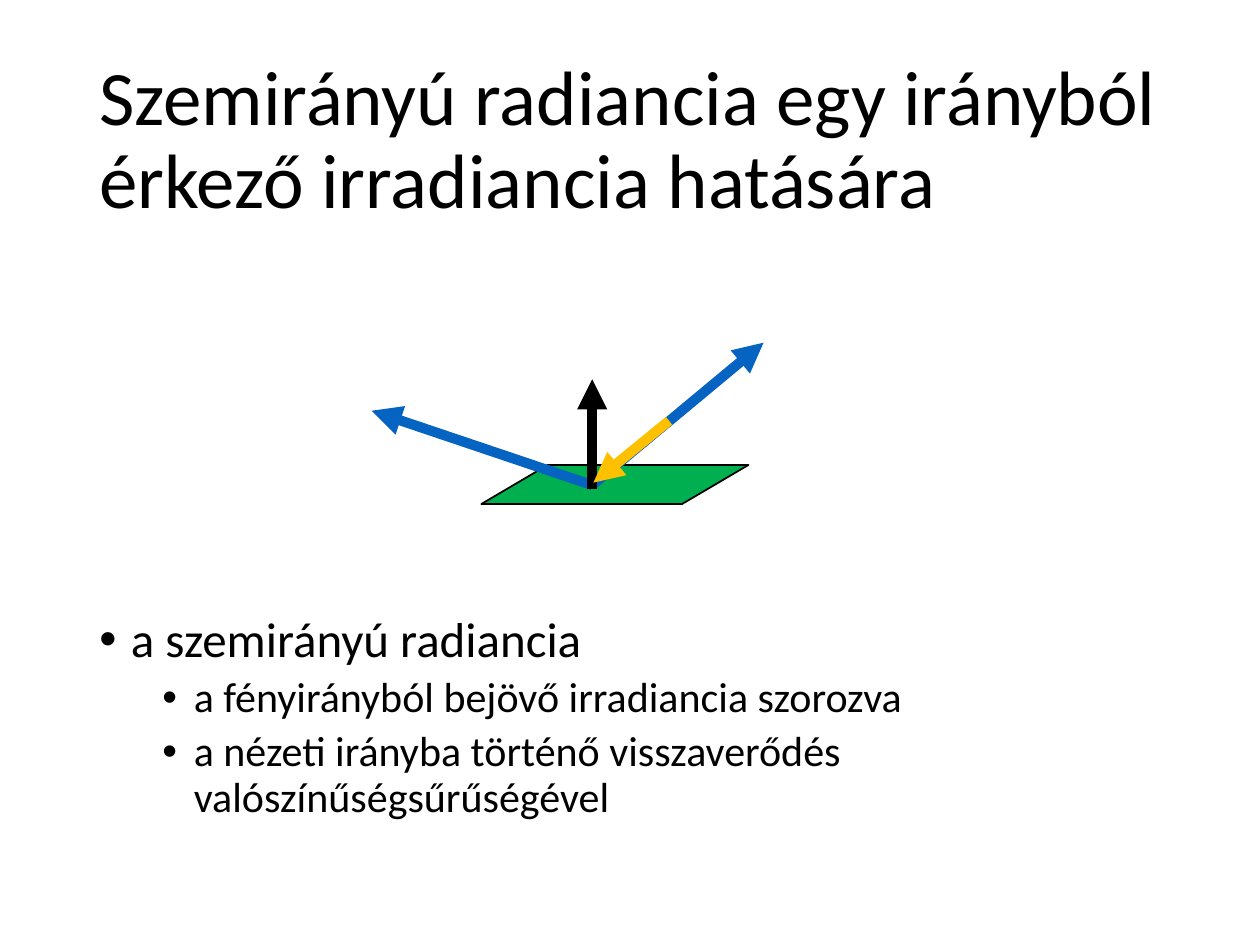
from dataclasses import dataclass

from lxml.etree import SubElement
from pptx import Presentation
from pptx.dml.color import RGBColor as RGB
from pptx.enum.shapes import MSO_CONNECTOR as Link, MSO_SHAPE as Shape
from pptx.enum.text import MSO_ANCHOR as Anchor
from pptx.oxml.ns import qn
from pptx.util import Inches, Pt


@dataclass(frozen=True)
class Theme:
    font: str = "Calibri"
    ink: str = "000000"
    ground: str = "00B050"
    ray: str = "0563C1"
    light: str = "FFC000"
    title: int = 44
    sizes: tuple = (28, 24)
    gaps: tuple = (10, 5)
    edge: float = 1
    stroke: float = 5.75


class Deck:
    def __init__(self, theme):
        self.theme = theme
        self.prs = Presentation()
        self.prs.slide_width, self.prs.slide_height = Inches(10), Inches(7.5)
        self.slide = self.prs.slides.add_slide(self.prs.slide_layouts[6])

    def frame(self, left, top, width, height, anchor=Anchor.TOP):
        box = self.slide.shapes.add_textbox(*map(Inches, (left, top, width, height)))
        frame = box.text_frame
        frame.word_wrap = True
        frame.vertical_anchor = anchor
        return frame

    def add_text(self, para, text, size):
        para.line_spacing = 0.9
        run = para.add_run()
        run.text = text
        run.font.name = self.theme.font
        run.font.size = Pt(size)
        run.font.color.rgb = RGB.from_string(self.theme.ink)

    def title(self, text, *area):
        frame = self.frame(*area, anchor=Anchor.MIDDLE)
        self.add_text(frame.paragraphs[0], text, self.theme.title)

    def bullets(self, items, *area):
        """Add (level, text) items as a bulleted list."""
        frame = self.frame(*area)
        for i, (level, text) in enumerate(items):
            para = frame.add_paragraph() if i else frame.paragraphs[0]
            para.level = level
            props = para._p.get_or_add_pPr()
            props.set("marL", str(Inches(0.25 + 0.5 * level)))
            props.set("indent", str(Inches(-0.25)))
            SubElement(props, qn("a:buFont"), typeface="Arial")
            SubElement(props, qn("a:buChar"), char="•")
            if i:
                para.space_before = Pt(self.theme.gaps[level])
            self.add_text(para, text, self.theme.sizes[level])

    def plane(self, left, top, width, height, slant):
        area = map(Inches, (left, top, width, height))
        plane = self.slide.shapes.add_shape(Shape.PARALLELOGRAM, *area)
        plane.adjustments[0] = slant
        plane.shadow.inherit = False
        plane.fill.solid()
        plane.fill.fore_color.rgb = RGB.from_string(self.theme.ground)
        plane.line.color.rgb = RGB.from_string(self.theme.ink)
        plane.line.width = Pt(self.theme.edge)

    def arrow(self, start, end, color):
        ends = map(Inches, (*start, *end))
        arrow = self.slide.shapes.add_connector(Link.STRAIGHT, *ends)
        arrow.line.color.rgb = RGB.from_string(color)
        arrow.line.width = Pt(self.theme.stroke)
        props = arrow._element.spPr
        SubElement(props.find(qn("a:ln")), qn("a:tailEnd"), type="triangle")
        SubElement(props, qn("a:effectLst"))


def main():
    theme = Theme()
    deck = Deck(theme)
    left, width = 0.69, 8.62
    deck.title("Szemirányú radiancia egy irányból érkező irradiancia hatására",
               left, 0.4, width, 1.45)
    deck.bullets([
        (0, "a szemirányú radiancia"),
        (1, "a fényirányból bejövő irradiancia szorozva"),
        (1, "a nézeti irányba történő visszaverődés valószínűségsűrűségével"),
    ], left, 4.83, width, 2.6)

    deck.plane(3.82, 3.69, 2.12, 0.31, slant=1.7)
    hit = (4.7, 3.85)
    for tip in ((6.06, 2.72), (2.95, 3.26)):
        deck.arrow(hit, tip, theme.ray)
    deck.arrow((4.7, 3.88), (4.7, 3.01), theme.ink)
    deck.arrow((5.31, 3.34), (4.71, 3.83), theme.light)
    deck.prs.save("out.pptx")


if __name__ == "__main__":
    main()
